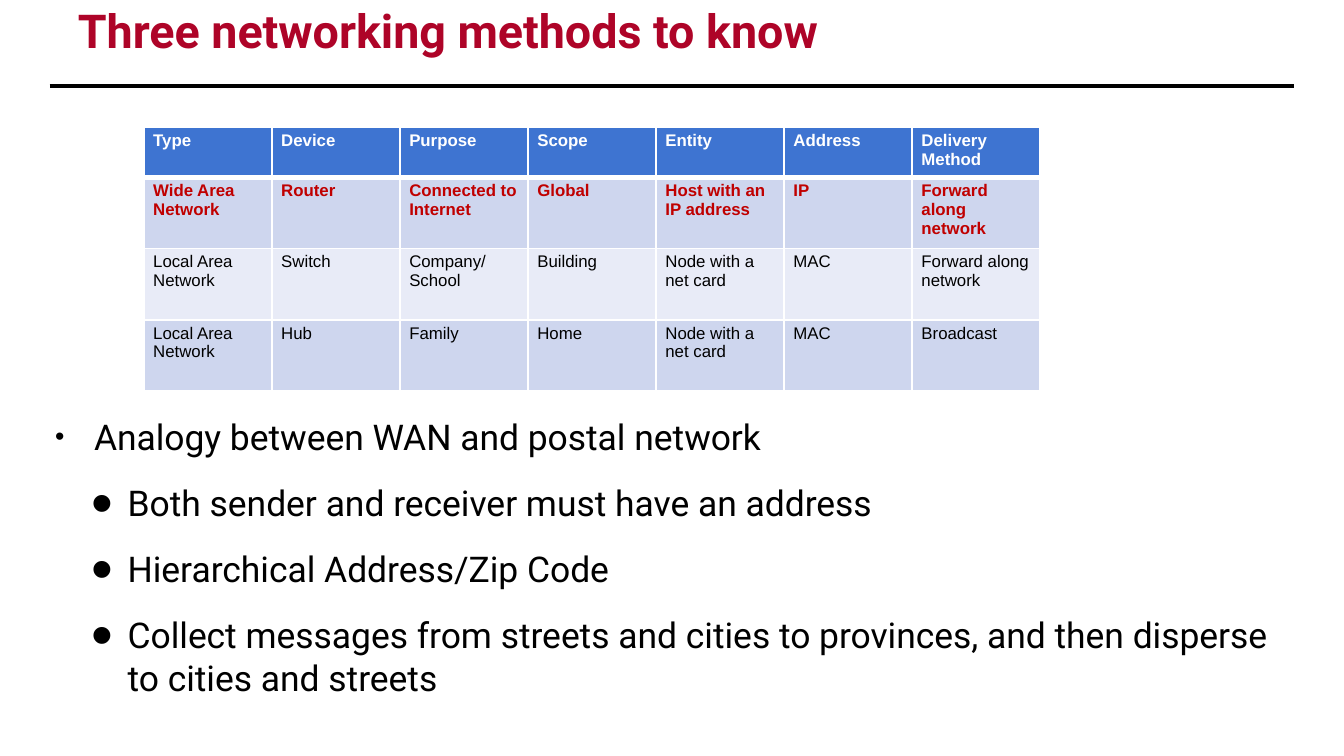
from lxml.etree import SubElement
from pptx import Presentation
from pptx.dml.color import RGBColor
from pptx.enum.shapes import MSO_CONNECTOR
from pptx.enum.text import MSO_ANCHOR
from pptx.oxml.ns import qn
from pptx.util import Inches, Pt

HUES = {
    "title": "AE0428", "ink": "000000", "white": "FFFFFF", "head": "3E74D1",
    "key": "C00000", "dark": "CED6EE", "light": "E8EBF7",
}
INSETS = ("margin_left", "margin_top", "margin_right", "margin_bottom")
ROWS = [
    ["Type", "Device", "Purpose", "Scope", "Entity", "Address", "Delivery Method"],
    ["Wide Area Network", "Router", "Connected to Internet", "Global",
     "Host with an IP address", "IP", "Forward along network"],
    ["Local Area Network", "Switch", "Company/School", "Building",
     "Node with a net card", "MAC", "Forward along network"],
    ["Local Area Network", "Hub", "Family", "Home",
     "Node with a net card", "MAC", "Broadcast"],
]
LOOKS = [("head", "white", True), ("dark", "key", True),
         ("light", "ink", False), ("dark", "ink", False)]
POINTS = [
    (0, "Analogy between WAN and postal network"),
    (1, "Both sender and receiver must have an address"),
    (1, "Hierarchical Address/Zip Code"),
    (1, "Collect messages from streets and cities to provinces, "
        "and then disperse to cities and streets"),
]
LEVELS = [(0.29, -0.29, 75), (0.54, -0.27, 175)]


def color(name):
    return RGBColor.from_string(HUES[name])


def assign(item, values):
    for name, value in values.items():
        setattr(item, name, value)


def style(para, hue, **values):
    assign(para.font, values)
    para.font.color.rgb = color(hue)


def add_box(slide, *place):
    frame = slide.shapes.add_textbox(*map(Inches, place)).text_frame
    assign(frame, dict.fromkeys(INSETS, Inches(0.03)))
    assign(frame, {"word_wrap": True, "vertical_anchor": MSO_ANCHOR.TOP})
    return frame


def add_title(slide, text):
    para = add_box(slide, 0.55, 0.1, 8.91, 0.49).paragraphs[0]
    assign(para, {"text": text, "line_spacing": 0.7})
    style(para, "title", name="Roboto", size=Pt(25), bold=True)


def add_rule(slide):
    ends = map(Inches, (0.37, 0.64, 9.63, 0.64))
    rule = slide.shapes.add_connector(MSO_CONNECTOR.STRAIGHT, *ends)
    rule.line.width = Pt(2)
    rule.line.color.rgb = color("ink")
    SubElement(rule._element.spPr, qn("a:effectLst"))


def add_bullet(para, level):
    left, hang, scale = LEVELS[level]
    props = para._p.get_or_add_pPr()
    props.set("marL", str(Inches(left)))
    props.set("indent", str(Inches(hang)))
    SubElement(props, qn("a:buSzPct"), val=str(scale * 1000))
    SubElement(props, qn("a:buFont"), typeface="Arial")
    SubElement(props, qn("a:buChar"), char="•")


def add_list(slide, points):
    frame = add_box(slide, 0.38, 3.06, 9.24, 2.15)
    for i, (level, text) in enumerate(points):
        para = frame.add_paragraph() if i else frame.paragraphs[0]
        assign(para, {"text": text, "level": level})
        if i:
            para.space_before = Pt(12.6)
        add_bullet(para, level)
        style(para, "ink", name="Roboto", size=Pt(19))


def add_edges(cell, base):
    props = cell._tc.get_or_add_tcPr()
    widths = {"lnL": 1, "lnR": 1, "lnT": 1, "lnB": base}
    for i, (side, width) in enumerate(widths.items()):
        edge = props.makeelement(qn("a:" + side), {"w": str(Pt(width))})
        fill = SubElement(edge, qn("a:solidFill"))
        SubElement(fill, qn("a:srgbClr"), val=HUES["white"])
        props.insert(i, edge)


def fill_cell(cell, text, look, base):
    fill, ink, bold = look
    cell.text = text
    assign(cell, dict(zip(INSETS, map(Inches, (0.07, 0.03, 0.07, 0.03)))))
    cell.fill.solid()
    cell.fill.fore_color.rgb = color(fill)
    style(cell.text_frame.paragraphs[0], ink, name="Arial", size=Pt(9), bold=bold)
    add_edges(cell, base)


def add_grid(slide, rows):
    place = map(Inches, (1.07, 0.95, 6.67, 1.95))
    grid = slide.shapes.add_table(len(rows), len(rows[0]), *place).table
    for r, (texts, look) in enumerate(zip(rows, LOOKS)):
        grid.rows[r].height = Inches(0.53 if r else 0.37)
        for c, text in enumerate(texts):
            fill_cell(grid.cell(r, c), text, look, 1 if r else 3)


def main():
    deck = Presentation()
    wide = Inches(10)
    assign(deck, {"slide_width": wide, "slide_height": wide * 9 // 16})
    slide = deck.slides.add_slide(deck.slide_layouts[6])
    add_rule(slide)
    add_title(slide, "Three networking methods to know")
    add_list(slide, POINTS)
    add_grid(slide, ROWS)
    deck.save("out.pptx")


if __name__ == "__main__":
    main()
